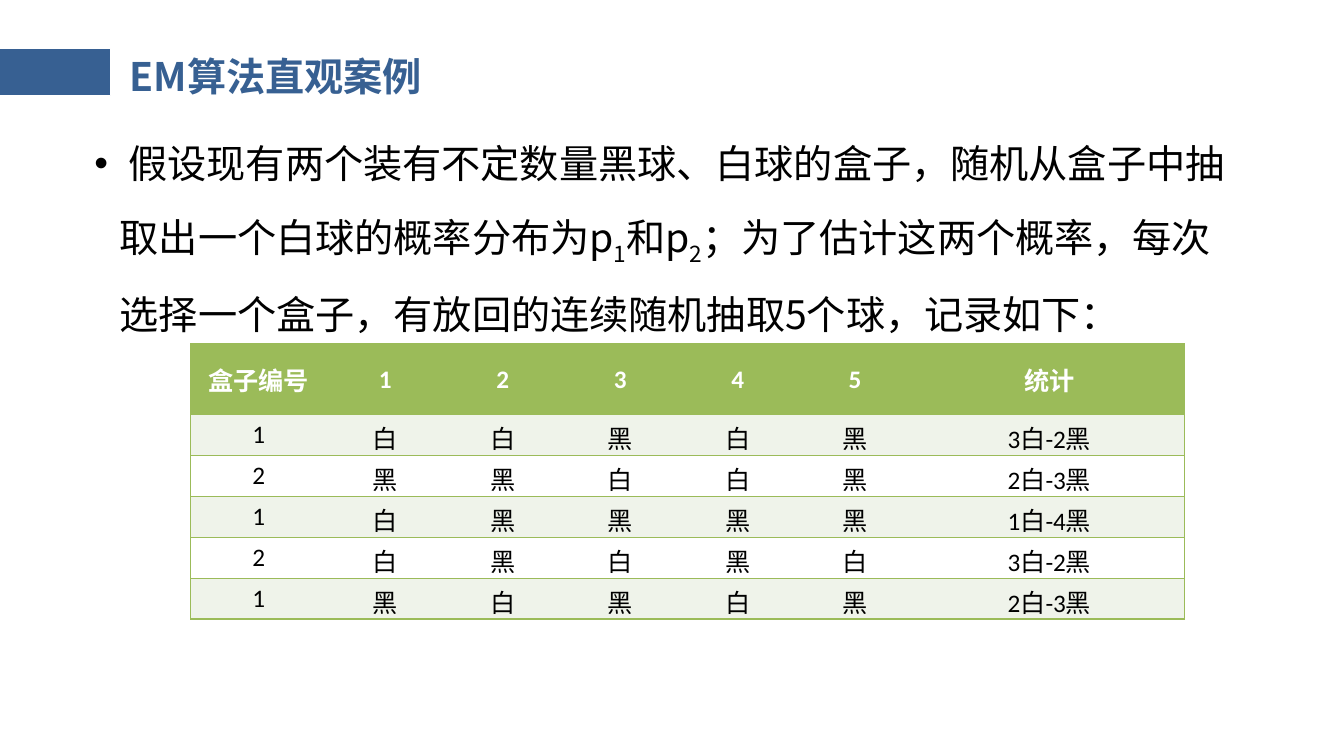
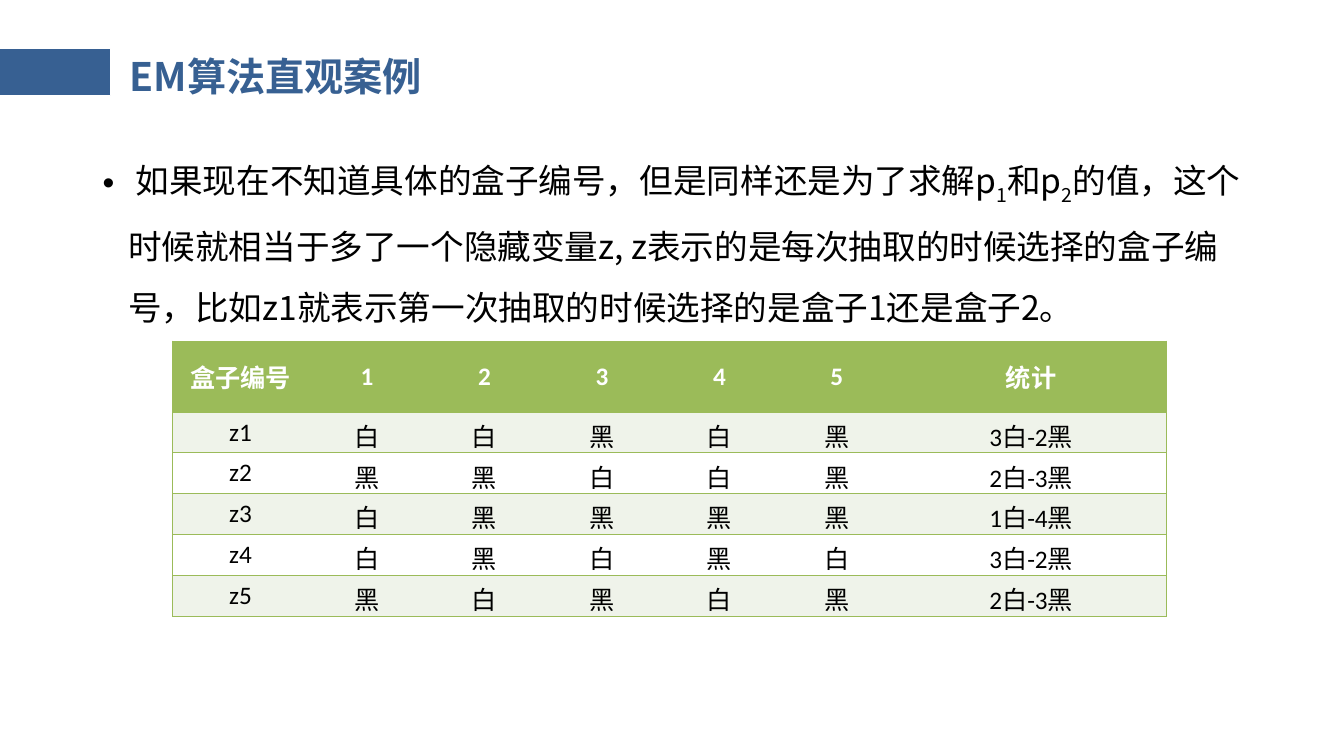
from dataclasses import dataclass
from typing import Any

from lxml.etree import SubElement
from pptx import Presentation
from pptx.dml.color import RGBColor
from pptx.enum.shapes import MSO_SHAPE
from pptx.enum.text import MSO_ANCHOR, PP_ALIGN
from pptx.oxml.ns import qn
from pptx.slide import Slide
from pptx.util import Cm, Pt

BLUE, GREEN, PALE, WHITE, BLACK = "376092", "9BBB59", "EFF3EA", "FFFFFF", "000000"
CJK_FONT, TABLE_FONT = "Noto Sans CJK SC", "Calibri"
PLAIN_TABLE_STYLE = "{2D5ABB26-0587-4C30-8999-92F81FD0307C}"

TITLE = "EM算法直观案例"
HEADER = ["盒子编号", "1", "2", "3", "4", "5", "统计"]
DRAWS = ["白白黑白黑", "黑黑白白黑", "白黑黑黑黑", "白黑白黑白", "黑白黑白黑"]
COLUMN_WIDTHS = [3.42] + [2.96] * 5 + [6.83]
ROW_HEIGHTS = [1.78] + [1.03] * len(DRAWS)


@dataclass(frozen=True)
class Box:
    """A place on the slide, in centimetres."""
    left: float
    top: float
    width: float
    height: float

    def lengths(self) -> tuple[Cm, Cm, Cm, Cm]:
        return Cm(self.left), Cm(self.top), Cm(self.width), Cm(self.height)


@dataclass(frozen=True)
class Case:
    """One slide; every second part of its statement is a subscript."""
    statement: tuple[str, ...]
    statement_box: Box
    size: int
    box_labels: tuple[str, ...]
    table_left: float
    table_top: float


BAND = Box(0, 1.23, 2.79, 1.18)
TITLE_BOX = Box(3.02, 0.46, 29.21, 3.05)

CASES = [
    Case(
        (" 假设现有两个装有不定数量黑球、白球的盒子，随机从盒子中抽取出一个白球的概率分布为p", "1",
         "和p", "2",
         "；为了估计这两个概率，每次选择一个盒子，有放回的连续随机抽取5个球，记录如下："),
        Box(2.13, 2.79, 29.41, 14.38), 28, ("1", "2", "1", "2", "1"), 4.81, 8.67,
    ),
    Case(
        (" 如果现在不知道具体的盒子编号，但是同样还是为了求解p", "1", "和p", "2",
         "的值，这个时候就相当于多了一个隐藏变量z, z表示的是每次抽取的时候选择的盒子编号，"
         "比如z1就表示第一次抽取的时候选择的是盒子1还是盒子2。"),
        Box(2.34, 3.33, 29.21, 13.82), 24, ("z1", "z2", "z3", "z4", "z5"), 4.35, 8.6,
    ),
]


def rgb(value: str) -> RGBColor:
    return RGBColor.from_string(value)


def set_all(target: Any, values: dict[str, Any]) -> None:
    for name, value in values.items():
        setattr(target, name, value)


def add_run(paragraph: Any, text: str, size: int, color: str,
            font: str = CJK_FONT, bold: bool = False) -> Any:
    run = paragraph.add_run()
    run.text = text
    set_all(run.font, {"size": Pt(size), "name": font, "bold": bold})
    run.font.color.rgb = rgb(color)
    SubElement(run.font._element, qn("a:ea"), typeface=CJK_FONT)
    return run


def add_heading(slide: Slide) -> None:
    band = slide.shapes.add_shape(MSO_SHAPE.RECTANGLE, *BAND.lengths())
    band.shadow.inherit = False
    band.fill.solid()
    band.fill.fore_color.rgb = rgb(BLUE)
    band.line.color.rgb = rgb(WHITE)
    band.line.width = Pt(0.75)

    frame = slide.shapes.add_textbox(*TITLE_BOX.lengths()).text_frame
    set_all(frame, {"word_wrap": True, "vertical_anchor": MSO_ANCHOR.MIDDLE})
    frame.paragraphs[0].line_spacing = 0.9
    add_run(frame.paragraphs[0], TITLE, 28, BLUE, bold=True)


def add_statement(slide: Slide, case: Case) -> None:
    frame = slide.shapes.add_textbox(*case.statement_box.lengths()).text_frame
    frame.word_wrap = True
    paragraph = frame.paragraphs[0]
    set_all(paragraph, {"line_spacing": 1.5, "space_before": Pt(10)})
    properties = paragraph._p.get_or_add_pPr()
    properties.set("marL", str(Cm(0.64)))
    properties.set("indent", str(-Cm(0.64)))
    SubElement(properties, qn("a:buFont"), typeface="Arial")
    SubElement(properties, qn("a:buChar"), char="•")
    for index, text in enumerate(case.statement):
        run = add_run(paragraph, text, case.size, BLACK)
        if index % 2:
            run.font._element.set("baseline", "-25000")


def add_borders(cell: Any, sides: str) -> None:
    """Draw green lines on the given sides, named L, R, T and B."""
    properties = cell._tc.get_or_add_tcPr()
    for side in sides:
        line = SubElement(properties, qn(f"a:ln{side}"), w=str(Pt(1)))
        SubElement(SubElement(line, qn("a:solidFill")), qn("a:srgbClr"), val=GREEN)


def add_record_table(slide: Slide, case: Case) -> None:
    rows = [HEADER] + [
        [label, *draw, f"{draw.count('白')}白-{draw.count('黑')}黑"]
        for label, draw in zip(case.box_labels, DRAWS)
    ]
    place = Box(case.table_left, case.table_top, sum(COLUMN_WIDTHS), sum(ROW_HEIGHTS))
    frame = slide.shapes.add_table(len(rows), len(HEADER), *place.lengths())
    table = frame.table
    table._tbl.tblPr.find(qn("a:tableStyleId")).text = PLAIN_TABLE_STYLE
    for column, width in zip(table.columns, COLUMN_WIDTHS):
        column.width = Cm(width)
    for row, height in zip(table.rows, ROW_HEIGHTS):
        row.height = Cm(height)

    last_column = len(HEADER) - 1
    for row_index, texts in enumerate(rows):
        is_header = row_index == 0
        fill = GREEN if is_header else PALE if row_index % 2 else WHITE
        for column_index, text in enumerate(texts):
            cell = table.cell(row_index, column_index)
            add_borders(cell, {0: "LTB", last_column: "RTB"}.get(column_index, "TB"))
            cell.fill.solid()
            cell.fill.fore_color.rgb = rgb(fill)
            cell.vertical_anchor = MSO_ANCHOR.MIDDLE
            paragraph = cell.text_frame.paragraphs[0]
            paragraph.alignment = PP_ALIGN.CENTER
            add_run(paragraph, text, 18, WHITE if is_header else BLACK, TABLE_FONT, is_header)


def main() -> None:
    presentation = Presentation()
    set_all(presentation, {"slide_width": Cm(33.87), "slide_height": Cm(19.05)})
    for case in CASES:
        slide = presentation.slides.add_slide(presentation.slide_layouts[6])
        add_heading(slide)
        add_statement(slide, case)
        add_record_table(slide, case)
    presentation.save("out.pptx")


if __name__ == "__main__":
    main()
